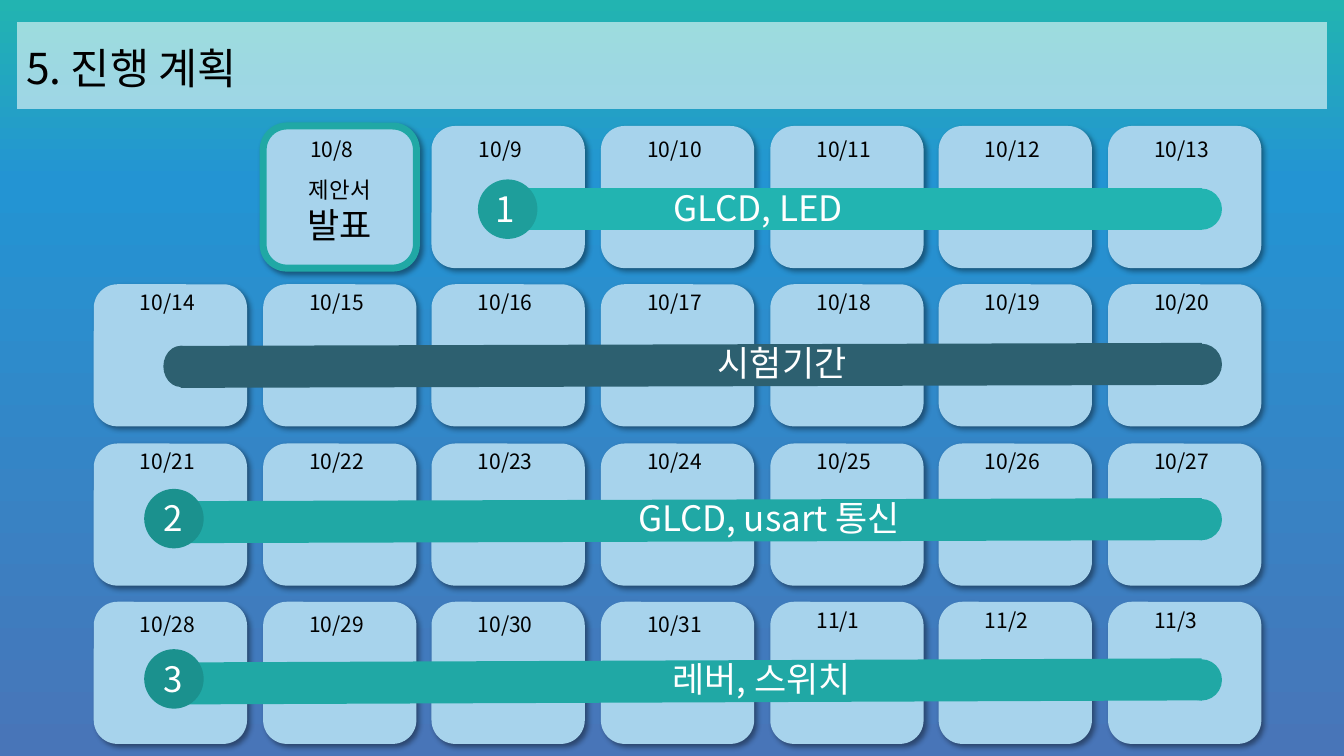
from pptx import Presentation
from pptx.dml.color import RGBColor
from pptx.enum.shapes import MSO_CONNECTOR as Connector, MSO_SHAPE as Shape
from pptx.enum.text import MSO_AUTO_SIZE as AutoSize, PP_ALIGN as Align
from pptx.oxml import parse_xml
from pptx.oxml.ns import nsdecls, qn
from pptx.util import Emu, Pt

COLORS = {
    "black": "000000", "white": "FFFFFF", "day": "A7D3EC",
    "aqua": "22B4B1", "teal": "20A8A5", "slate": "2D6070",
    "badge_aqua": "1E9E9B", "badge_teal": "1B918E",
    "sky": "2394D3", "indigo": "4875B8",
}
FONT = "Noto Sans CJK KR"
SCALE = 9144  # EMU per px, 100 px to the inch
WEEK = 7
BAR_END = 1192


def px(*lengths):
    return [Emu(length * SCALE) for length in lengths]


def color_xml(name, alpha=100):
    return (f'<a:srgbClr {nsdecls("a")} val="{COLORS[name]}">'
            f'<a:alpha val="{alpha * 1000}"/></a:srgbClr>')


class CalendarSlide:
    def __init__(self, deck):
        self.page = deck.slides.add_slide(deck.slide_layouts[6])

    def background(self, stops):
        fill = self.page.background.fill
        fill.gradient()
        fill.gradient_angle = 270
        stop_list = self.page.element.find(".//" + qn("a:gsLst"))
        for old_stop in list(stop_list):
            stop_list.remove(old_stop)
        for position, name, alpha in stops:
            stop_list.append(parse_xml(
                f'<a:gs {nsdecls("a")} pos="{position * 1000}">'
                f'{color_xml(name, alpha)}</a:gs>'))

    def shape(self, kind, place, color, outline=None):
        shape = self.page.shapes.add_shape(kind, *px(*place))
        shape.shadow.inherit = False
        shape.fill.solid()
        shape.fill.fore_color.rgb = RGBColor.from_string(COLORS[color])
        if outline:
            shape.line.color.rgb = RGBColor.from_string(COLORS[outline])
            shape.line.width = Pt(5)
        else:
            shape.line.fill.background()
        return shape

    def title_band(self, place, alpha):
        band = self.shape(Shape.RECTANGLE, place, "white")
        solid = band.element.spPr.find(qn("a:solidFill"))
        solid.replace(solid[0], parse_xml(color_xml("white", alpha)))

    def day(self, left, top, outline):
        card = self.shape(Shape.ROUNDED_RECTANGLE, (left, top, 152, 141), "day", outline)
        effects = card.element.spPr.find(qn("a:effectLst"))
        effects.append(parse_xml(
            f'<a:outerShdw {nsdecls("a")} blurRad="{Pt(4)}" dist="{Pt(3)}" '
            f'dir="2700000" algn="tl" rotWithShape="0">{color_xml("black", 40)}</a:outerShdw>'))

    def text(self, place, lines, color="black", align=Align.LEFT):
        """Write (wording, size) lines as one paragraph with line breaks."""
        box = self.page.shapes.add_textbox(*px(*place))
        frame = box.text_frame
        frame.word_wrap = True
        frame.auto_size = AutoSize.SHAPE_TO_FIT_TEXT
        para = frame.paragraphs[0]
        para.alignment = align
        for number, (wording, size) in enumerate(lines):
            if number:
                para.add_line_break()
            span = para.add_run()
            span.text = wording
            for key, value in {"name": FONT, "size": Pt(size)}.items():
                setattr(span.font, key, value)
            span.font.color.rgb = RGBColor.from_string(COLORS[color])
        for style in box.element.iter(qn("a:rPr")):
            style.append(parse_xml(f'<a:ea {nsdecls("a")} typeface="{FONT}"/>'))

    def bar(self, left, start, end, color):
        """Draw a thick line with a round cap at its right end."""
        line = self.page.shapes.add_connector(
            Connector.STRAIGHT, *px(left, start, BAR_END, end))
        line.line.color.rgb = RGBColor.from_string(COLORS[color])
        line.line.width = Pt(30)
        line.element.spPr.append(parse_xml(f'<a:effectLst {nsdecls("a")}/>'))
        self.shape(Shape.OVAL, (BAR_END - 21, end - 20, 41, 41), color)

    def badge(self, left, top, number, color, text_place):
        self.shape(Shape.OVAL, (left, top, 59, 59), color)
        self.text((*text_place, 34, 52), [(number, 25)], "white")


def main():
    deck = Presentation()
    deck.slide_width, deck.slide_height = px(1333, 750)
    calendar = CalendarSlide(deck)
    calendar.background([(0, "aqua", 100), (24, "sky", 90), (100, "indigo", 100)])
    calendar.title_band((17, 22, 1299, 86), 56)
    calendar.text((16, 37, 355, 61), [("5. 진행 계획", 30.4)])

    date_gaps = (6, 0, 0, 5)
    first_day = 8
    for date in range(first_day, 35):
        row, column = divmod(date - WEEK, WEEK)
        left, top = 93 + round(167.7 * column), 125 + round(157.4 * row)
        calendar.day(left, top, "teal" if date == first_day else None)
        november = date > 31
        label = f"11/{date - 31}" if november else f"10/{date}"
        indent = 37 if date < 10 else 36
        gap = 1 if november else date_gaps[row]
        calendar.text((left + indent, top + gap, 80, 35), [(label, 15)])

    calendar.bar(517, 207, 207, "aqua")
    calendar.badge(474, 178, "1", "badge_aqua", (482, 181))
    calendar.bar(179, 364, 361, "slate")
    calendar.shape(Shape.OVAL, (162, 343, 35, 41), "slate")
    for number, start, end in (("2", 518, 515), ("3", 678, 674)):
        calendar.bar(179, start, end, "teal")
        calendar.badge(143, end - 30, number, "badge_teal", (152, end - 27))

    for left, top, width, task in (
        (658, 180, 221, "GLCD, LED"),
        (702, 334, 221, "시험기간"),
        (623, 488, 289, "GLCD, usart 통신"),
        (657, 647, 221, "레버, 스위치"),
    ):
        calendar.text((left, top, width, 52), [(task, 25)], "white")
    calendar.text((293, 170, 88, 79), [("제안서", 16), ("발표", 25)], align=Align.CENTER)
    deck.save("out.pptx")


if __name__ == "__main__":
    main()
